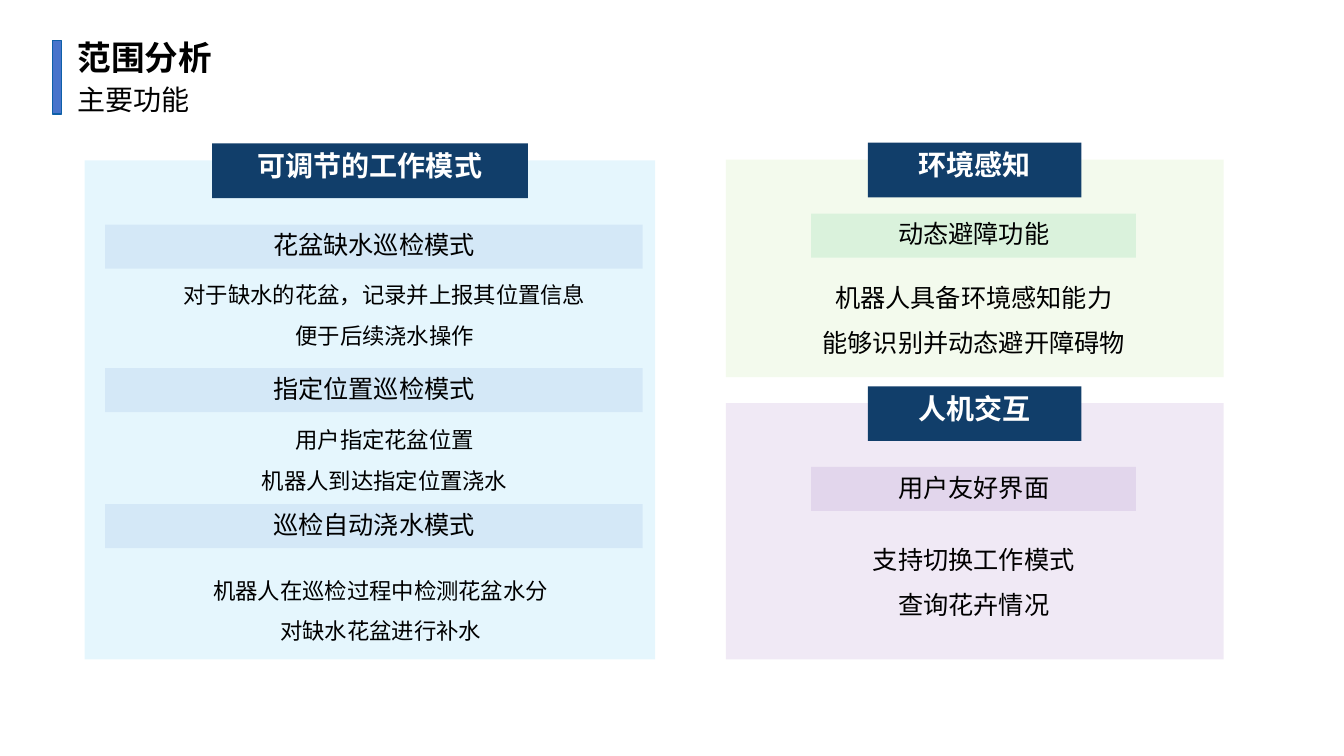
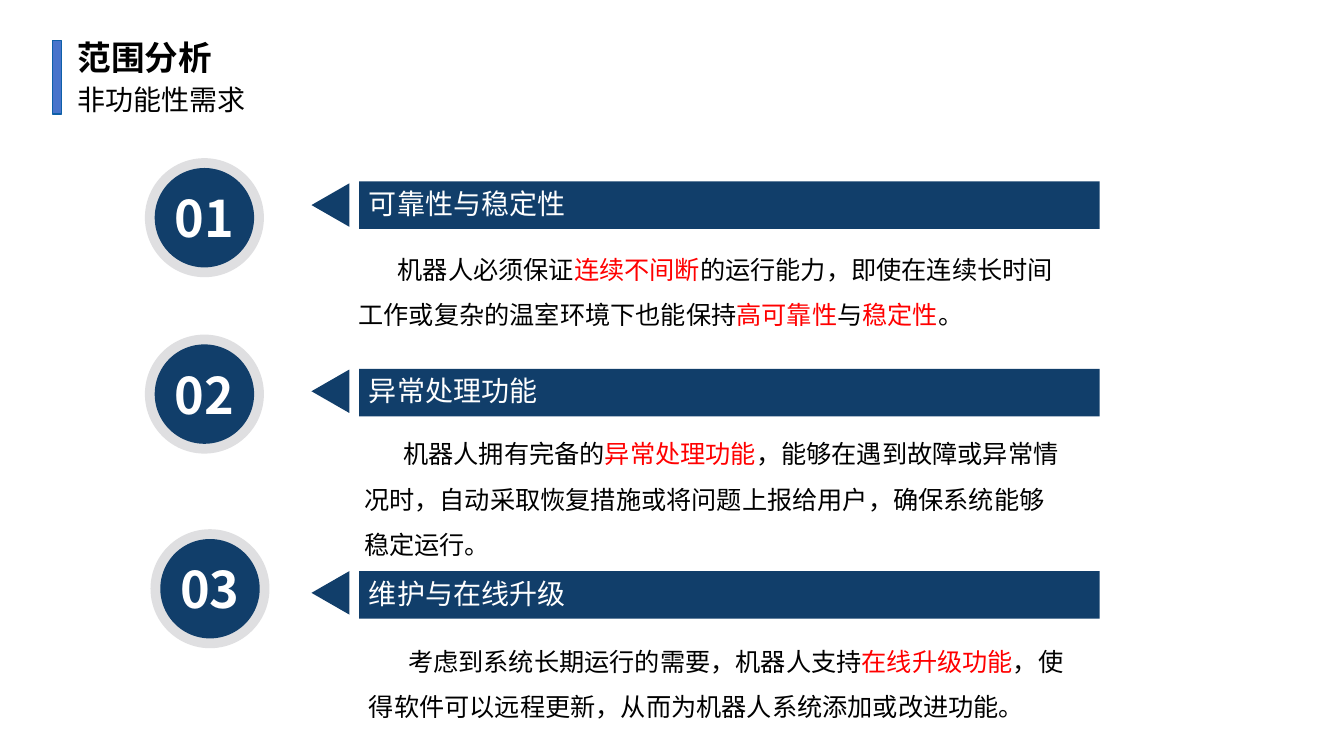
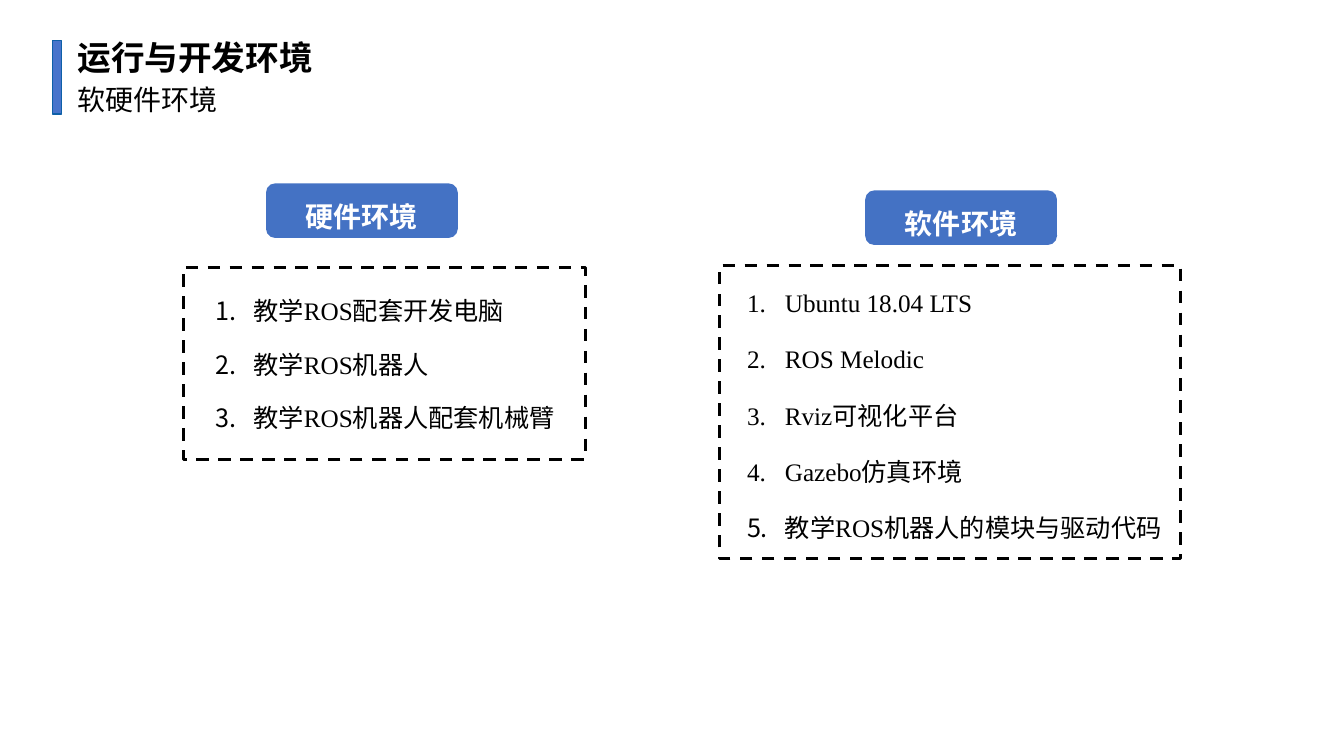
"""Build three slides on the scope and environment of a flower-watering robot."""
from dataclasses import dataclass, replace
from typing import NamedTuple, Optional

from lxml.etree import SubElement
from pptx import Presentation
from pptx.dml.color import RGBColor
from pptx.enum.dml import MSO_LINE
from pptx.enum.shapes import MSO_SHAPE
from pptx.enum.text import MSO_ANCHOR, PP_ALIGN
from pptx.oxml.ns import qn
from pptx.shapes.autoshape import Shape
from pptx.slide import Slide
from pptx.text.text import TextFrame
from pptx.util import Pt


@dataclass(frozen=True)
class Theme:
    navy: RGBColor = RGBColor(0x11, 0x3E, 0x6A)
    accent: RGBColor = RGBColor(0x48, 0x74, 0xCB)
    accent_edge: RGBColor = RGBColor(0x0E, 0x60, 0xA8)
    badge: RGBColor = RGBColor(0x44, 0x72, 0xC4)
    ring: RGBColor = RGBColor(0xDF, 0xDF, 0xE1)
    sky: RGBColor = RGBColor(0x00, 0xB0, 0xF0)
    lime: RGBColor = RGBColor(0x92, 0xD0, 0x50)
    green: RGBColor = RGBColor(0x00, 0xB0, 0x50)
    purple: RGBColor = RGBColor(0x70, 0x30, 0xA0)
    red: RGBColor = RGBColor(0xFF, 0x00, 0x00)
    black: RGBColor = RGBColor(0x00, 0x00, 0x00)
    white: RGBColor = RGBColor(0xFF, 0xFF, 0xFF)
    title_font: str = "Calibri"
    body_font: str = "Noto Sans CJK SC"
    list_font: str = "Times New Roman"
    number_size: int = 36
    title_size: int = 24
    heading_size: int = 20
    body_size: int = 18
    small_size: int = 16
    tint_percent: int = 10


THEME = Theme()


class Box(NamedTuple):
    left: float
    top: float
    width: float
    height: float


@dataclass(frozen=True)
class TextStyle:
    size: int = THEME.body_size
    color: RGBColor = THEME.black
    font: str = THEME.body_font
    bold: bool = False
    align: PP_ALIGN = PP_ALIGN.LEFT
    line_spacing: float = 1.0
    exact_line: Optional[float] = None
    space_before: float = 0
    first_indent: float = 0
    number_indent: float = 0


TITLE = TextStyle(THEME.title_size, font=THEME.title_font, bold=True)
SUBTITLE = TextStyle(THEME.heading_size, font=THEME.title_font)
HEADING = TextStyle(THEME.heading_size, THEME.white, bold=True, align=PP_ALIGN.CENTER)
BADGE = replace(HEADING, exact_line=32)
NUMBER = replace(HEADING, size=THEME.number_size)
BAR = TextStyle(align=PP_ALIGN.CENTER)
NEED_HEADING = TextStyle(THEME.heading_size, THEME.white)
DETAIL = TextStyle(align=PP_ALIGN.CENTER, line_spacing=1.5)
SMALL_DETAIL = replace(DETAIL, size=THEME.small_size)
NEED_BODY = TextStyle(line_spacing=1.5, first_indent=28)
NUMBERED = TextStyle(font=THEME.list_font, align=PP_ALIGN.JUSTIFY, line_spacing=1.5, number_indent=27)


class Feature(NamedTuple):
    name: str
    bar_top: float
    detail_left: float
    detail_top: float
    details: list[str]


@dataclass(frozen=True)
class Panel:
    heading: str
    heading_width: float
    area: Box
    tint: RGBColor
    bar_tint: RGBColor
    bar_left: float
    bar_width: float
    detail_style: TextStyle
    features: list[Feature]


class Need(NamedTuple):
    heading: str
    body: str
    bar_top: float
    arrow_top: float
    body_left: float
    body_top: float
    disc_left: float
    disc_top: float


class Environment(NamedTuple):
    heading: str
    badge_left: float
    badge_top: float
    frame: Box
    list_left: float
    list_top: float
    space_before: float
    items: list[str]


PANELS = [
    Panel("可调节的工作模式", 225.5, Box(60.5, 114.5, 407.5, 356.5), THEME.sky, THEME.accent,
          75, 384, SMALL_DETAIL, [
              Feature("花盆缺水巡检模式", 160.5, 82.8, 188,
                      ["对于缺水的花盆，记录并上报其位置信息", "便于后续浇水操作"]),
              Feature("指定位置巡检模式", 263, 82.8, 291.5,
                      ["用户指定花盆位置", "机器人到达指定位置浇水"]),
              Feature("巡检自动浇水模式", 360, 80, 399,
                      ["机器人在巡检过程中检测花盆水分", "对缺水花盆进行补水"]),
          ]),
    Panel("环境感知", 152.5, Box(518.5, 114, 355.5, 155.5), THEME.lime, THEME.green,
          579.5, 232, DETAIL, [
              Feature("动态避障功能", 152.5, 579.5, 187,
                      ["机器人具备环境感知能力", "能够识别并动态避开障碍物"]),
          ]),
    Panel("人机交互", 152.5, Box(518.5, 288, 355.5, 183), THEME.purple, THEME.purple,
          579.5, 232, DETAIL, [
              Feature("用户友好界面", 333.5, 579.5, 374.5,
                      ["支持切换工作模式", "查询花卉情况"]),
          ]),
]

NEEDS = [
    Need("可靠性与稳定性",
         "机器人必须保证*连续不间断*的运行能力，即使在连续长时间工作或复杂的温室环境下也能保持"
         "*高可靠性*与*稳定性*。", 129.5, 131, 249, 167, 103.5, 113),
    Need("异常处理功能",
         "机器人拥有完备的*异常处理功能*，能够在遇到故障或异常情况时，自动采取恢复措施或将问题"
         "上报给用户，确保系统能够稳定运行。", 263.5, 264, 253, 299, 103.5, 239),
    Need("维护与在线升级",
         "考虑到系统长期运行的需要，机器人支持*在线升级功能*，使得软件可以远程更新，从而为机器人"
         "系统添加或改进功能。", 408, 408, 256.5, 447, 107.5, 378),
]

ENVIRONMENTS = [
    Environment("硬件环境", 190, 131, Box(131, 191, 287, 137), 147, 196.5, 6,
                ["教学ROS配套开发电脑", "教学ROS机器人", "教学ROS机器人配套机械臂"]),
    Environment("软件环境", 618, 136, Box(514, 189.5, 329, 209.5), 526.5, 191, 7.8,
                ["Ubuntu 18.04 LTS", "ROS Melodic", "Rviz可视化平台", "Gazebo仿真环境",
                 "教学ROS机器人的模块与驱动代码"]),
]


def write(frame: TextFrame, lines: list[str], style: TextStyle) -> None:
    """Fill a frame with one paragraph a line, colouring the parts between asterisks."""
    frame.word_wrap = True
    for index, line in enumerate(lines):
        paragraph = frame.add_paragraph() if index else frame.paragraphs[0]
        properties = paragraph._p.get_or_add_pPr()
        if style.number_indent:
            properties.set("marL", str(Pt(style.number_indent)))
            properties.set("indent", str(-Pt(style.number_indent)))
            SubElement(properties, qn("a:buAutoNum"), type="arabicPeriod")
        elif style.first_indent:
            properties.set("indent", str(Pt(style.first_indent)))
        paragraph.alignment = style.align
        paragraph.line_spacing = Pt(style.exact_line) if style.exact_line else style.line_spacing
        paragraph.space_before = Pt(style.space_before if index else 0)
        font = paragraph.font
        font.size = Pt(style.size)
        font.bold = style.bold
        font.color.rgb = style.color
        font.name = style.font
        SubElement(properties.find(qn("a:defRPr")), qn("a:ea"), typeface=THEME.body_font)
        for position, part in enumerate(line.split("*")):
            run = paragraph.add_run()
            run.text = part
            if position % 2:
                run.font.color.rgb = THEME.red


def add_text(slide: Slide, box: Box, lines: list[str], style: TextStyle) -> None:
    """Place a text box."""
    write(slide.shapes.add_textbox(*map(Pt, box)).text_frame, lines, style)


def paint(shape: Shape, color: RGBColor, tinted: bool = False) -> None:
    """Give a shape a flat fill without outline or shadow."""
    shape.shadow.inherit = False
    shape.line.fill.background()
    shape.fill.solid()
    shape.fill.fore_color.rgb = color
    if tinted:
        swatch = shape._element.spPr.find(f"{qn('a:solidFill')}/{qn('a:srgbClr')}")
        SubElement(swatch, qn("a:alpha"), val=str(THEME.tint_percent * 1000))


def add_block(slide: Slide, box: Box, color: RGBColor, tinted: bool = False,
              kind: MSO_SHAPE = MSO_SHAPE.RECTANGLE, text: str = "",
              style: TextStyle = BAR, centred: bool = False) -> Shape:
    """Place a filled shape, with its text at the top or in the middle."""
    block = slide.shapes.add_shape(kind, *map(Pt, box))
    paint(block, color, tinted)
    if text:
        frame = block.text_frame
        frame.vertical_anchor = MSO_ANCHOR.MIDDLE if centred else MSO_ANCHOR.TOP
        if centred:
            frame.margin_left = frame.margin_right = frame.margin_top = frame.margin_bottom = 0
        write(frame, [text], style)
    return block


def add_titled_slide(deck: Presentation, title: str, subtitle: str) -> Slide:
    """Add a blank slide with the accent bar, title and subtitle."""
    slide = deck.slides.add_slide(deck.slide_layouts[6])
    marker = add_block(slide, Box(37.5, 29, 6.5, 52.5), THEME.accent)
    marker.line.color.rgb = THEME.accent_edge
    marker.line.width = Pt(1)
    add_text(slide, Box(48.24, 23, 400, 36), [title], TITLE)
    add_text(slide, Box(48.24, 55.5, 400, 32), [subtitle], SUBTITLE)
    return slide


def draw_panel(slide: Slide, panel: Panel) -> None:
    """Draw a tinted panel with its heading and features."""
    area = panel.area
    add_block(slide, area, panel.tint, tinted=True)
    heading_left = area.left + (area.width - panel.heading_width) / 2
    add_block(slide, Box(heading_left, area.top - 12, panel.heading_width, 39), THEME.navy,
              text=panel.heading, style=HEADING)
    for feature in panel.features:
        add_block(slide, Box(panel.bar_left, feature.bar_top, panel.bar_width, 31.5),
                  panel.bar_tint, tinted=True, text=feature.name)
        add_text(slide, Box(feature.detail_left, feature.detail_top, panel.bar_width, 65),
                 feature.details, panel.detail_style)


def draw_need(slide: Slide, order: int, need: Need) -> None:
    """Draw a numbered disc, an arrowhead, a heading bar and its text."""
    ring, rim = 85, 7
    core = ring - 2 * rim
    add_block(slide, Box(need.disc_left, need.disc_top, ring, ring), THEME.ring,
              kind=MSO_SHAPE.OVAL)
    add_block(slide, Box(need.disc_left + rim, need.disc_top + rim, core, core), THEME.navy,
              kind=MSO_SHAPE.OVAL, text=f"{order:02}", style=NUMBER, centred=True)
    tip, base, height = 222.5, 249.5, 31
    outline = slide.shapes.build_freeform(Pt(tip), Pt(need.arrow_top + height / 2))
    outline.add_line_segments([(Pt(base), Pt(need.arrow_top)),
                               (Pt(base), Pt(need.arrow_top + height))])
    paint(outline.convert_to_shape(), THEME.navy)
    add_block(slide, Box(256.5, need.bar_top, 529, 34), THEME.navy,
              text=need.heading, style=NEED_HEADING)
    add_text(slide, Box(need.body_left, need.body_top, 517.5, 70), [need.body], NEED_BODY)


def draw_environment(slide: Slide, environment: Environment) -> None:
    """Draw a badge above a dashed frame with a numbered list."""
    add_block(slide, Box(environment.badge_left, environment.badge_top, 137, 39), THEME.badge,
              kind=MSO_SHAPE.ROUNDED_RECTANGLE, text=environment.heading, style=BADGE,
              centred=True)
    frame = slide.shapes.add_shape(MSO_SHAPE.RECTANGLE, *map(Pt, environment.frame))
    frame.shadow.inherit = False
    frame.fill.background()
    frame.line.color.rgb = THEME.black
    frame.line.width = Pt(2.25)
    frame.line.dash_style = MSO_LINE.DASH
    add_text(slide, Box(environment.list_left, environment.list_top, 400, 113),
             environment.items, replace(NUMBERED, space_before=environment.space_before))


def main() -> None:
    """Build and save the deck."""
    deck = Presentation()
    deck.slide_width, deck.slide_height = Pt(960), Pt(540)

    functions = add_titled_slide(deck, "范围分析", "主要功能")
    for panel in PANELS:
        draw_panel(functions, panel)

    requirements = add_titled_slide(deck, "范围分析", "非功能性需求")
    for order, need in enumerate(NEEDS, start=1):
        draw_need(requirements, order, need)

    environments = add_titled_slide(deck, "运行与开发环境", "软硬件环境")
    for environment in ENVIRONMENTS:
        draw_environment(environments, environment)

    deck.save("out.pptx")


if __name__ == "__main__":
    main()
